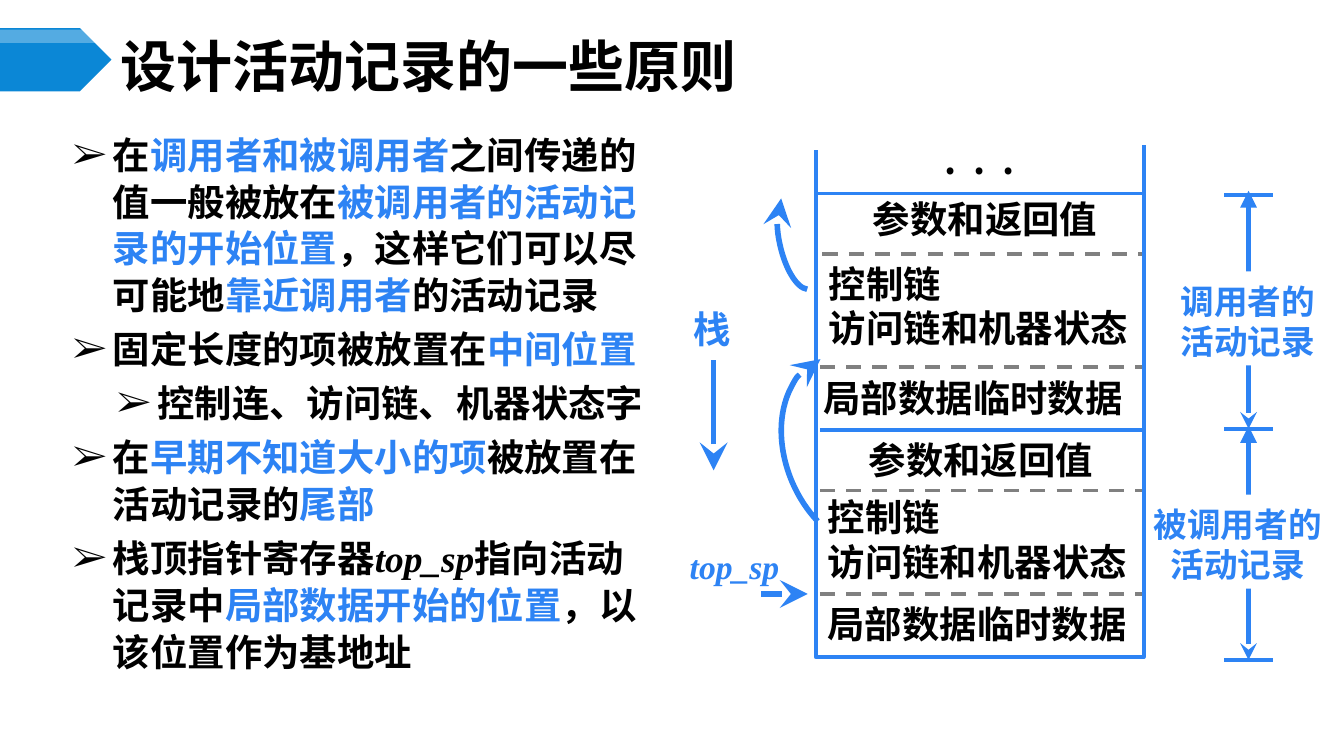
from dataclasses import dataclass

from lxml import etree
from pptx import Presentation
from pptx.dml.color import RGBColor
from pptx.enum.dml import MSO_LINE
from pptx.enum.shapes import MSO_CONNECTOR, MSO_SHAPE
from pptx.enum.text import MSO_ANCHOR, MSO_AUTO_SIZE, PP_ALIGN
from pptx.oxml.ns import qn
from pptx.util import Inches, Pt

LEFT, CENTER = PP_ALIGN.LEFT, PP_ALIGN.CENTER
TOP, MIDDLE = MSO_ANCHOR.TOP, MSO_ANCHOR.MIDDLE
DASH = MSO_LINE.DASH
ARC, PENTAGON, RECT = MSO_SHAPE.ARC, MSO_SHAPE.PENTAGON, MSO_SHAPE.RECTANGLE
STRAIGHT = MSO_CONNECTOR.STRAIGHT


@dataclass(frozen=True)
class Theme:
    black: str = "000000"
    white: str = "FFFFFF"
    blue: str = "2D83F4"
    banner: str = "0B87D6"
    gray: str = "808080"
    sans: str = "Noto Sans CJK SC"
    serif: str = "Times New Roman"
    title: int = 30
    body: int = 20
    label: int = 18
    thin: int = 2
    thick: int = 3
    leading: float = 1.2


@dataclass(frozen=True)
class Run:
    text: str
    color: str = Theme.black
    term: bool = False


@dataclass(frozen=True)
class Bullet:
    runs: tuple
    indent: float = 0.3


@dataclass(frozen=True)
class Field:
    lines: tuple
    box: tuple
    align: PP_ALIGN = LEFT


@dataclass(frozen=True)
class Arc:
    box: tuple
    rotation: float
    start: float
    end: float


T = Theme()


def key(text: str) -> Run:
    return Run(text, T.blue)


BULLETS = (
    Bullet((Run("在"), key("调用者和被调用者"), Run("之间传递的值一般被放在"),
            key("被调用者的活动记录的开始位置"), Run("，这样它们可以尽可能地"),
            key("靠近调用者"), Run("的活动记录"))),
    Bullet((Run("固定长度的项被放置在"), key("中间位置"))),
    Bullet((Run("控制连、访问链、机器状态字"),), 0.63),
    Bullet((Run("在"), key("早期不知道大小的项"), Run("被放置在活动记录的"), key("尾部"))),
    Bullet((Run("栈顶指针寄存器"), Run("top_sp", term=True), Run("指向活动记录中"),
            key("局部数据开始的位置"), Run("，以该位置作为基地址"))),
)
PARAMS, LINKS, LOCALS = ("参数和返回值",), ("控制链", "访问链和机器状态"), ("局部数据临时数据",)
FIELDS = (
    Field((".  .  .",), (6.15, 0.93, 2.28, 0.53), CENTER),
    Field(PARAMS, (6.15, 1.37, 2.36, 0.53), CENTER),
    Field(LINKS, (6.07, 1.85, 3.54, 0.53)),
    Field(LOCALS, (6.03, 2.7, 2.66, 0.53)),
    Field(PARAMS, (6.17, 3.16, 2.26, 0.53), CENTER),
    Field(LINKS, (6.06, 3.59, 2.85, 0.53)),
    Field(LOCALS, (6.06, 4.38, 2.66, 0.53)),
)
ARCS = (
    Arc((5.85, 2.61, 1.11, 1.52), 156.6, 269.9, 34.29),
    Arc((5.8, 1.42, 0.29, 0.74), 167.6, 280.52, 87.16),
)


def rgb(color: str) -> RGBColor:
    return RGBColor.from_string(color)


def add_run(p, text: str, *, size: float, color: str = T.black, term: bool = False) -> None:
    """Add a bold run; a term is set in serif italics."""
    r = p.add_run()
    r.text = text
    f = r.font
    f.size, f.bold, f.italic = Pt(size), True, term
    f.color.rgb = rgb(color)
    f.name = T.serif if term else T.sans
    etree.SubElement(r._r.get_or_add_rPr(), qn("a:ea"), typeface=f.name)


def set_frame(tf, insets: tuple, anchor: MSO_ANCHOR = TOP) -> None:
    tf.word_wrap, tf.auto_size, tf.vertical_anchor = True, MSO_AUTO_SIZE.NONE, anchor
    tf.margin_left, tf.margin_top, tf.margin_right, tf.margin_bottom = map(Inches, insets)


def add_text(s, lines: tuple, box: tuple, *, size: float = T.body, color: str = T.black,
             align: PP_ALIGN = LEFT, fill: str = "", term: bool = False) -> None:
    """Add one paragraph per line; with a fill, the text sits in a centred panel."""
    if fill:
        sp = add_shape(s, RECT, box, fill=fill)
    else:
        sp = s.shapes.add_textbox(*map(Inches, box))
    tf = sp.text_frame
    set_frame(tf, (0.1, 0.09, 0.1, 0.05), MIDDLE if fill else TOP)
    for i, line in enumerate(lines):
        p = tf.add_paragraph() if i else tf.paragraphs[0]
        p.alignment = align
        if not term:
            p.line_spacing = Pt(size * T.leading)
        add_run(p, line, size=size, color=color, term=term)


def add_bullets(s, box: tuple) -> None:
    tf = s.shapes.add_textbox(*map(Inches, box)).text_frame
    set_frame(tf, (0.07, 0.04, 0.07, 0.04))
    for i, bullet in enumerate(BULLETS):
        p = tf.add_paragraph() if i else tf.paragraphs[0]
        p.line_spacing, p.space_before = Pt(25), Pt(4)
        pPr = p._p.get_or_add_pPr()
        pPr.set("marL", str(Inches(bullet.indent)))
        pPr.set("indent", str(Inches(-0.3)))
        etree.SubElement(pPr, qn("a:buFont"), typeface=T.serif)
        etree.SubElement(pPr, qn("a:buChar"), char="➢")
        for run in bullet.runs:
            add_run(p, run.text, size=T.body, color=run.color, term=run.term)


def add_shape(s, kind: MSO_SHAPE, box: tuple, *, fill: str = "", line: str = "",
              width: float = T.thin):
    sp = s.shapes.add_shape(kind, *map(Inches, box))
    sp.shadow.inherit = False
    if fill:
        sp.fill.solid()
        sp.fill.fore_color.rgb = rgb(fill)
    else:
        sp.fill.background()
    if line:
        sp.line.color.rgb, sp.line.width = rgb(line), Pt(width)
    else:
        sp.line.fill.background()
    return sp


def add_end(sp, tag: str, kind: str, size: str) -> None:
    etree.SubElement(sp.line._get_or_add_ln(), qn(tag), type=kind, w=size, len=size)


def add_line(s, x1: float, y1: float, x2: float, y2: float, *, color: str = T.blue,
             width: float = T.thin, dash: bool = False):
    c = s.shapes.add_connector(STRAIGHT, *map(Inches, (x1, y1, x2, y2)))
    c.line.color.rgb, c.line.width = rgb(color), Pt(width)
    if dash:
        c.line.dash_style = DASH
    etree.SubElement(c._element.spPr, qn("a:effectLst"))
    return c


def add_arc(s, arc: Arc) -> None:
    sp = add_shape(s, ARC, arc.box, line=T.blue, width=T.thick)
    # Arc angles count 60000 to the degree, adjustments 100000 to the unit.
    sp.adjustments[0], sp.adjustments[1] = arc.start * 0.6, arc.end * 0.6
    sp.rotation = arc.rotation
    sp._element.spPr.find(qn("a:xfrm")).set("flipV", "1")
    add_end(sp, "a:headEnd", "stealth", "lg")


def add_banner(s) -> None:
    add_shape(s, PENTAGON, (0, 0.21, 0.83, 0.47), fill=T.banner)
    gloss = add_shape(s, PENTAGON, (0, 0.22, 0.83, 0.1), fill=T.white)
    color = gloss._element.spPr.find(qn("a:solidFill"))[0]
    etree.SubElement(color, qn("a:alpha"), val="30000")


def add_title(s, text: str) -> None:
    sp = s.shapes.title
    sp.left, sp.top, sp.width, sp.height = map(Inches, (0.83, 0.29, 8.67, 0.39))
    set_frame(sp.text_frame, (0.07, 0.04, 0.07, 0.04), MIDDLE)
    p = sp.text_frame.paragraphs[0]
    p.alignment = LEFT
    add_run(p, text, size=T.title)


def add_stack(s) -> None:
    for field in FIELDS:
        add_text(s, field.lines, field.box, align=field.align)
    for x, y in ((6.12, 1.89), (6.1, 2.73), (6.1, 3.65), (6.1, 4.42)):
        add_line(s, x, y, x + 2.4, y, color=T.gray, dash=True)
    add_line(s, 6.1, 3.2, 8.5, 3.2)
    add_shape(s, RECT, (6.07, 1.44, 2.44, 3.45), line=T.blue)
    add_line(s, 6.07, 1.47, 6.07, 1.12)
    add_line(s, 8.51, 1.44, 8.51, 1.08)
    for arc in ARCS:
        add_arc(s, arc)


def add_pointers(s) -> None:
    for x1, y1, x2, y2 in ((5.31, 3.5, 5.31, 2.68), (6.01, 4.42, 5.66, 4.42)):
        add_end(add_line(s, x1, y1, x2, y2, width=T.thick), "a:headEnd", "stealth", "lg")
    add_text(s, ("栈",), (4.99, 2.19, 0.62, 0.53), color=T.blue, align=CENTER)
    add_text(s, ("top_sp",), (4.92, 3.97, 1.09, 0.53), size=T.label, color=T.blue,
             align=CENTER, term=True)


def add_extents(s) -> None:
    """Mark the span of each activation record to the right of the stack."""
    for y in (1.45, 3.19, 4.91):
        add_line(s, 9.47, y, 9.11, y)
    for text, top, bottom, box in (
        ("被调用者的活动记录", 3.17, 4.91, (8.43, 3.68, 1.56, 0.7)),
        ("调用者的活动记录", 1.42, 3.19, (8.65, 2.02, 1.27, 0.7)),
    ):
        c = add_line(s, 9.29, bottom, 9.29, top, width=T.thick)
        add_end(c, "a:headEnd", "stealth", "med")
        add_end(c, "a:tailEnd", "triangle", "med")
        add_text(s, (text,), box, size=T.label, color=T.blue, align=CENTER, fill=T.white)


def main() -> None:
    prs = Presentation()
    prs.slide_width = Inches(10)
    prs.slide_height = prs.slide_width * 9 // 16
    s = prs.slides.add_slide(prs.slide_layouts[5])
    add_banner(s)
    add_title(s, "设计活动记录的一些原则")
    add_bullets(s, (0.47, 0.93, 4.45, 4.49))
    add_extents(s)
    add_stack(s)
    add_pointers(s)
    prs.save("out.pptx")


if __name__ == "__main__":
    main()
